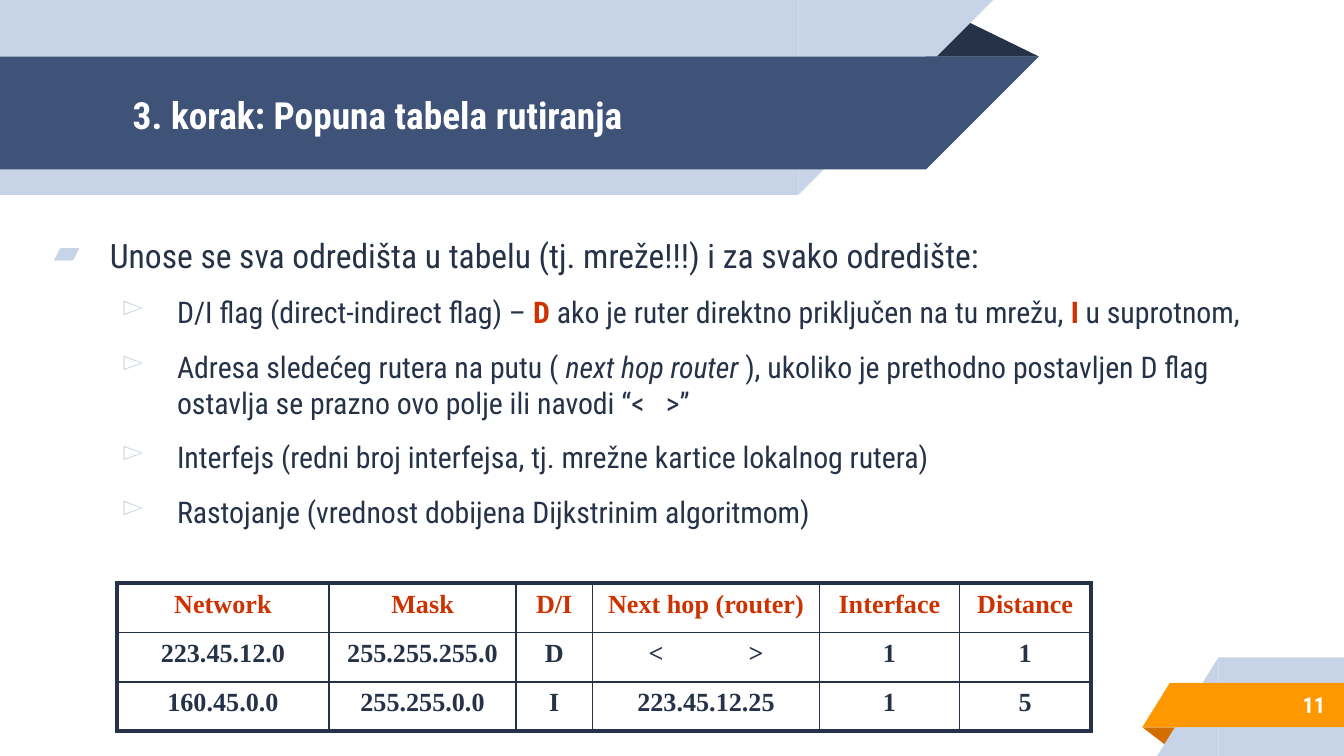
from dataclasses import dataclass
from typing import NamedTuple

from lxml.etree import SubElement
from pptx import Presentation
from pptx.dml.color import RGBColor
from pptx.enum.shapes import MSO_SHAPE as Shape
from pptx.enum.text import MSO_ANCHOR as Anchor, PP_ALIGN as Align
from pptx.oxml.ns import qn
from pptx.util import Pt


@dataclass(frozen=True)
class Theme:
    pale: str = "C7D3E6"
    navy: str = "3F5378"
    ink: str = "263248"
    orange: str = "FF9800"
    rust: str = "D26F00"
    accent: str = "CC3300"
    white: str = "FFFFFF"
    sans: str = "Roboto Condensed"
    serif: str = "Times New Roman"
    title: int = 20
    lead: int = 18
    item: int = 16
    cell: int = 14
    number: int = 12
    inset: float = 7.2
    outer_line: float = 2.25
    inner_line: float = 1


class Box(NamedTuple):
    left: float
    top: float
    width: float
    height: float

    def points(self):
        return [Pt(value) for value in self]


THEME = Theme()
RED = {"color": THEME.accent, "bold": True}

# Each item is a list of (text, format) spans
LEAD = "Unose se sva odredišta u tabelu (tj. mreže!!!) i za svako odredište:"
ITEMS = [
    [("D/I flag (direct-indirect flag) – ", {}), ("D", RED),
     (" ako je ruter direktno priključen na tu mrežu, ", {}), ("I ", RED),
     ("u suprotnom,", {})],
    [("Adresa sledećeg rutera na putu ( ", {}),
     ("next hop router ", {"italic": True}),
     ("), ukoliko je prethodno postavljen D flag ostavlja se prazno "
      "ovo polje ili navodi “<", {}), (" ", {"spacing": 7.5}), (">”", {})],
    [("Interfejs (redni broj interfejsa, tj. mrežne kartice lokalnog rutera)", {})],
    [("Rastojanje (vrednost dobijena Dijkstrinim algoritmom)", {})],
]
ROUTES = [
    ["Network", "Mask", "D/I", "Next hop (router)", "Interface", "Distance"],
    ["223.45.12.0", "255.255.255.0", "D", "< >", "1", "1"],
    ["160.45.0.0", "255.255.0.0", "I", "223.45.12.25", "1", "5"],
]
COLUMN_SHARES = [1.58, 1.39, 0.57, 1.69, 1.04, 0.98]


def add_span(para, text, *, size, color=THEME.ink, font=THEME.sans,
             bold=False, italic=False, spacing=0):
    span = para.add_run()
    span.text = text
    span.font.size, span.font.name = Pt(size), font
    span.font.bold, span.font.italic = bold, italic
    span.font.color.rgb = RGBColor.from_string(color)
    if spacing:
        span.font._element.set("spc", str(int(spacing * 100)))


def add_frame(page, box, anchor=Anchor.MIDDLE):
    frame = page.shapes.add_textbox(*box.points()).text_frame
    frame.word_wrap = True
    frame.vertical_anchor = anchor
    frame.margin_left = frame.margin_right = Pt(THEME.inset)
    frame.margin_top = frame.margin_bottom = Pt(THEME.inset)
    return frame


def add_solid(page, kind, box, color, flip=None):
    shape = page.shapes.add_shape(kind, *box.points())
    shape.shadow.inherit = False
    shape.fill.solid()
    shape.fill.fore_color.rgb = RGBColor.from_string(color)
    shape.line.fill.background()
    if flip:
        shape._element.spPr.find(qn("a:xfrm")).set(flip, "1")
    return shape


def add_fold(page, box, color, rotation=0):
    fold = add_solid(page, Shape.ISOSCELES_TRIANGLE, box, color)
    fold.adjustments[0] = 0.324
    fold.rotation = rotation


def add_ribbon(page, box, slant, color, from_right=False):
    """A band with one slanted end, on its right or, from_right, its left."""
    left, top, width, height = box
    straight = left + slant if from_right else left
    tip = left if from_right else left + width - slant
    add_solid(page, Shape.RECTANGLE, Box(straight, top, width - slant, height), color)
    add_solid(page, Shape.RIGHT_TRIANGLE, Box(tip, top, slant, height), color,
              "flipH" if from_right else "flipV")


def add_header(page, box, title):
    left, top, width, height = box
    band = Box(left, top + 30.3, width, 60.5)
    add_fold(page, Box(left + width - 61.2, top + 10.1, 61.2, 20.2), THEME.ink)
    add_ribbon(page, Box(left, top, width - 24.5, height), height, THEME.pale)
    add_ribbon(page, band, band.height, THEME.navy)
    frame = add_frame(page, Box(left + 64, band.top + 0.8, 433, band.height))
    add_span(frame.paragraphs[0], title, size=THEME.title,
             color=THEME.white, bold=True)


def add_footer(page, box, number):
    left, top, width, height = box
    band = Box(left, top + 13.6, width, 23.8)
    add_fold(page, Box(left, band.top + band.height, 19.4, 10.1), THEME.rust, 180)
    add_ribbon(page, Box(left + 7.9, top, width - 7.9, height), 32.8,
               THEME.pale, from_right=True)
    add_ribbon(page, band, 14.8, THEME.orange, from_right=True)
    frame = add_frame(page, Box(left - 12, band.top - 0.6, width + 9, 25))
    para = frame.paragraphs[0]
    para.alignment = Align.RIGHT
    add_span(para, number, size=THEME.number, color=THEME.white, bold=True)


def set_bullet(para, mark, indent):
    props = para._p.get_or_add_pPr()
    props.set("marL", str(Pt(indent)))
    props.set("indent", str(Pt(-30)))
    color = SubElement(props, qn("a:buClr"))
    SubElement(color, qn("a:srgbClr"), val=THEME.pale)
    SubElement(props, qn("a:buChar"), char=mark)


def add_body(page, box, lead, items):
    frame = add_frame(page, box, Anchor.TOP)
    frame.margin_top = Pt(13.6)
    para = frame.paragraphs[0]
    set_bullet(para, "▰", 36)
    add_span(para, lead, size=THEME.lead)
    for spans in items:
        para = frame.add_paragraph()
        para.level = 1
        set_bullet(para, "▻", 72)
        para.space_before = Pt(10)
        for text, style in spans:
            add_span(para, text, size=THEME.item, **style)


def set_borders(cell, outer):
    props = cell._tc.get_or_add_tcPr()
    for side in "LRTB":
        weight = THEME.outer_line if side in outer else THEME.inner_line
        line = SubElement(props, qn(f"a:ln{side}"), w=str(Pt(weight)))
        fill = SubElement(line, qn("a:solidFill"))
        SubElement(fill, qn("a:srgbClr"), val=THEME.ink)


def add_routes(page, box, rows, shares):
    table = page.shapes.add_table(len(rows), len(shares), *box.points()).table
    table.first_row = table.horz_banding = False
    for column, share in zip(table.columns, shares):
        column.width = Pt(round(box.width * share / sum(shares), 2))
    edges = {"T": (0, None), "B": (len(rows) - 1, None),
             "L": (None, 0), "R": (None, len(shares) - 1)}
    for r, row in enumerate(rows):
        table.rows[r].height = Pt(box.height / len(rows))
        for c, text in enumerate(row):
            cell = table.cell(r, c)
            set_borders(cell, [side for side, (y, x) in edges.items()
                               if r == y or c == x])
            cell.fill.background()
            para = cell.text_frame.paragraphs[0]
            para.alignment = Align.CENTER
            style = {"size": THEME.cell, "font": THEME.serif, "bold": True,
                     "color": THEME.ink if r else THEME.accent}
            # The empty next hop is one widened space between the brackets
            for piece in ("<", " ", ">") if text == "< >" else (text,):
                add_span(para, piece, spacing=42 if piece == " " else 0, **style)


def main():
    deck = Presentation()
    deck.slide_width, deck.slide_height = Pt(720), Pt(405)
    page = deck.slides.add_slide(deck.slide_layouts[6])
    add_footer(page, Box(612, 352.2, 108, 52.8), "11")
    add_header(page, Box(0, 0, 556.6, 104.4), "3. korak: Popuna tabela rutiranja")
    add_body(page, Box(15.8, 112.3, 686.2, 203), LEAD, ITEMS)
    add_routes(page, Box(62.6, 312.5, 522, 79.2), ROUTES, COLUMN_SHARES)
    deck.save("out.pptx")


if __name__ == "__main__":
    main()
